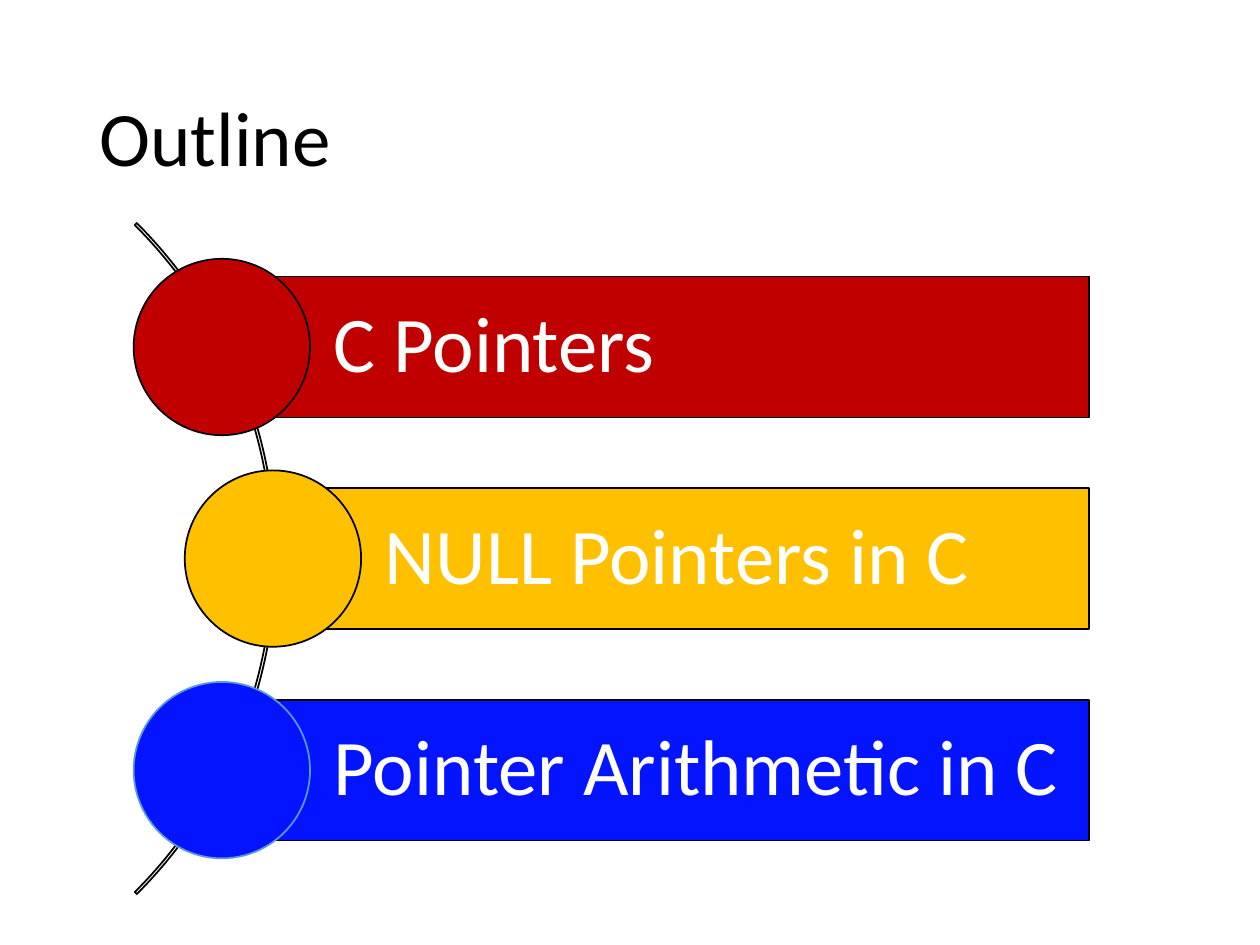
from pptx import Presentation
from pptx.dml.color import RGBColor
from pptx.enum.shapes import MSO_SHAPE as Preset
from pptx.enum.text import MSO_ANCHOR as Anchor, PP_ALIGN as Align
from pptx.util import Pt

COLORS = {
    "black": "000000",
    "white": "FFFFFF",
    "red": "C00000",
    "amber": "FFC000",
    "blue": "0414FF",
    "light_blue": "5B9BD5",
}
FONT = "Calibri"
ARC_SIZE = 542.2
ARC_LEFT = -384.6
MIDDLE_Y = 319.2
ROW_PITCH = 120.9
BAR_HEIGHT = 80.6
BAR_RIGHT = 622.3
CIRCLE_SIZE = 100.8
TOPICS = [
    ("C Pointers", 126.8, "red", "black"),
    ("NULL Pointers in C", 156, "amber", "black"),
    ("Pointer Arithmetic in C", 126.8, "blue", "light_blue"),
]


def color(name):
    """Return the named colour."""
    return RGBColor.from_string(COLORS[name])


def write_text(frame, text, size, color_name):
    """Write one left-aligned run, centred vertically in its frame."""
    frame.word_wrap = True
    frame.vertical_anchor = Anchor.MIDDLE
    paragraph = frame.paragraphs[0]
    paragraph.alignment = Align.LEFT
    paragraph.line_spacing = 0.9
    run = paragraph.add_run()
    run.text = text
    run.font.name = FONT
    run.font.size = Pt(size)
    run.font.color.rgb = color(color_name)


def add_title(slide, text):
    """Place and fill the slide title."""
    title = slide.shapes.title
    title.left, title.top = Pt(49.5), Pt(28.8)
    title.width, title.height = Pt(621), Pt(104.4)
    write_text(title.text_frame, text, 44, "black")


def add_outlined_shape(slide, preset, left, top, width, height, fill=None, line="black"):
    """Add a thinly outlined preset shape, filled if a colour is given."""
    shape = slide.shapes.add_shape(preset, Pt(left), Pt(top), Pt(width), Pt(height))
    shape.shadow.inherit = False
    if fill:
        shape.fill.solid()
        shape.fill.fore_color.rgb = color(fill)
    else:
        shape.fill.background()
    shape.line.color.rgb = color(line)
    shape.line.width = Pt(1)
    return shape


def add_arc(slide):
    """Add the thin arc that links the topics."""
    arc = add_outlined_shape(
        slide, Preset.BLOCK_ARC, ARC_LEFT, MIDDLE_Y - ARC_SIZE / 2, ARC_SIZE, ARC_SIZE
    )
    for index, value in enumerate((189, 27, 0.003)):
        arc.adjustments[index] = value


def add_topic(slide, text, center_x, center_y, fill, circle_line):
    """Add a topic bar with a circle centred on its left edge."""
    bar = add_outlined_shape(
        slide, Preset.RECTANGLE, center_x, center_y - BAR_HEIGHT / 2,
        BAR_RIGHT - center_x, BAR_HEIGHT, fill,
    )
    frame = bar.text_frame
    frame.margin_left = Pt(64)
    frame.margin_top = frame.margin_right = frame.margin_bottom = Pt(8.6)
    write_text(frame, text, 45, "white")
    radius = CIRCLE_SIZE / 2
    add_outlined_shape(
        slide, Preset.OVAL, center_x - radius, center_y - radius,
        CIRCLE_SIZE, CIRCLE_SIZE, fill, circle_line,
    )


def main():
    """Build and save the outline slide."""
    presentation = Presentation()
    presentation.slide_width, presentation.slide_height = Pt(720), Pt(540)
    slide = presentation.slides.add_slide(presentation.slide_layouts[5])
    add_title(slide, "Outline")
    add_arc(slide)
    for row, (text, center_x, fill, circle_line) in enumerate(TOPICS):
        center_y = MIDDLE_Y + (row - 1) * ROW_PITCH
        add_topic(slide, text, center_x, center_y, fill, circle_line)
    presentation.save("out.pptx")


if __name__ == "__main__":
    main()
